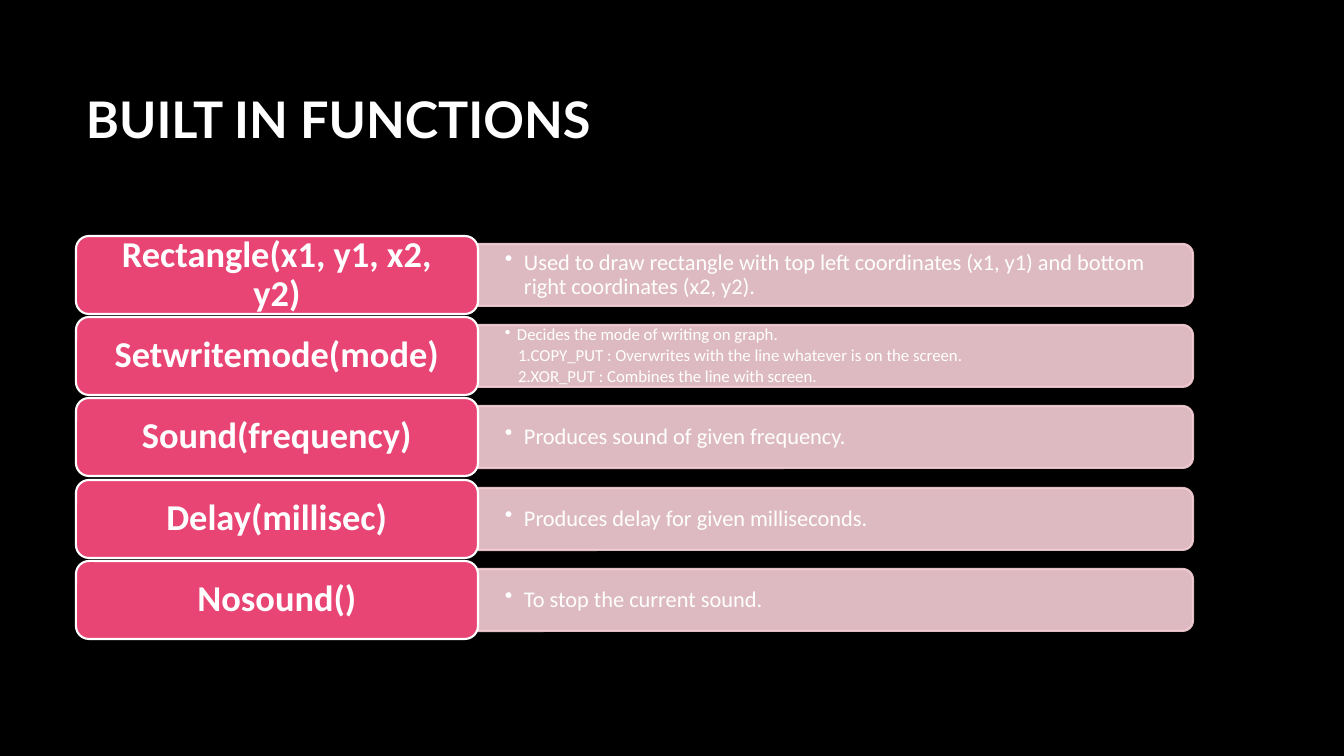
from dataclasses import dataclass

from lxml import etree
from pptx import Presentation
from pptx import util as u
from pptx.dml.color import RGBColor
from pptx.enum import shapes, text
from pptx.oxml.ns import qn

SCALE = 914400 / 100.8


def px(pixels):
    """Turn pixels into EMU."""
    return u.Emu(round(pixels * SCALE))


@dataclass(frozen=True)
class Theme:
    """Hold colours, fonts and type sizes."""

    background: str = "000000"
    ink: str = "FFFFFF"
    label: str = "E84574"
    bar: str = "F6CFD6"
    bar_opacity: int = 90
    line_width: float = 1.5
    title_font: str = "Lato"
    body_font: str = "Calibri"
    title_size: int = 36
    label_size: int = 26
    body_size: int = 16
    small_size: int = 12


class SlideBuilder:
    """Draw themed elements on one slide."""

    def __init__(self, slide, theme):
        """Keep the slide and theme, and paint the background."""
        self.slide, self.theme = slide, theme
        fill = slide.background.fill
        fill.solid()
        fill.fore_color.rgb = RGBColor.from_string(theme.background)

    def frame(self, shape, margin):
        """Prepare a wrapped, vertically centred text frame."""
        frame = shape.text_frame
        frame.word_wrap = True
        frame.vertical_anchor = text.MSO_ANCHOR.MIDDLE
        frame.margin_left = frame.margin_right = px(margin)
        frame.margin_top = frame.margin_bottom = 0
        return frame

    def run(self, paragraph, words, size, font, bold=False):
        """Add one run of text."""
        run = paragraph.add_run()
        run.text = words
        run.font.size, run.font.name, run.font.bold = u.Pt(size), font, bold
        run.font.color.rgb = RGBColor.from_string(self.theme.ink)

    def block(self, preset, box, fill, line, opacity=100):
        """Add a filled and outlined preset shape."""
        shape = self.slide.shapes.add_shape(preset, *map(px, box))
        shape.shadow.inherit = False
        shape.fill.solid()
        shape.fill.fore_color.rgb = RGBColor.from_string(fill)
        shape.line.color.rgb = RGBColor.from_string(line)
        shape.line.width = u.Pt(self.theme.line_width)
        if opacity < 100:
            for colour in shape._element.spPr.iter(qn("a:srgbClr")):
                etree.SubElement(colour, qn("a:alpha"), val=str(opacity * 1000))
        return shape

    def title(self, words, box):
        """Add the slide title."""
        shape = self.slide.shapes.add_textbox(*map(px, box))
        paragraph = self.frame(shape, 10).paragraphs[0]
        self.run(paragraph, words, self.theme.title_size, self.theme.title_font, True)

    def label(self, words, box):
        """Add a rounded label with a function signature."""
        shape = self.block(shapes.MSO_SHAPE.ROUNDED_RECTANGLE, box,
                           self.theme.label, self.theme.ink)
        paragraph = self.frame(shape, 15).paragraphs[0]
        paragraph.alignment = text.PP_ALIGN.CENTER
        paragraph.line_spacing = 0.9
        self.run(paragraph, words, self.theme.label_size, self.theme.body_font, True)

    def bar(self, box):
        """Add a bar rounded at its right end."""
        left, top, width, height = box
        shift = (width - height) / 2
        shape = self.block(shapes.MSO_SHAPE.ROUND_2_SAME_RECTANGLE,
                           (left + shift, top - shift, height, width),
                           self.theme.bar, self.theme.bar, self.theme.bar_opacity)
        shape.rotation = 90

    def description(self, summary, steps, box):
        """Add a bulleted summary with optional numbered steps."""
        size = self.theme.small_size if steps else self.theme.body_size
        hang = 12 if steps else 19
        frame = self.frame(self.slide.shapes.add_textbox(*map(px, box)), 27)
        for index, words in enumerate([summary, *steps]):
            paragraph = frame.add_paragraph() if index else frame.paragraphs[0]
            paragraph.level = min(index, 1)
            paragraph.line_spacing = 0.9
            paragraph.space_after = u.Pt(size * 0.15)
            properties = paragraph._p.get_or_add_pPr()
            properties.set("marL", str(px(25 if index else hang)))
            properties.set("indent", str(px(-hang)))
            if index:
                etree.SubElement(properties, qn("a:buAutoNum"), type="arabicPeriod")
            else:
                etree.SubElement(properties, qn("a:buChar"), char="•")
            self.run(paragraph, words, size, self.theme.body_font)


FUNCTIONS = [
    ("Rectangle(x1, y1, x2, y2)",
     "Used to draw rectangle with top left coordinates (x1, y1) and bottom "
     "right coordinates (x2, y2).", []),
    ("Setwritemode(mode)", "Decides the mode of writing on graph.",
     ["COPY_PUT : Overwrites with the line whatever is on the screen.",
      "XOR_PUT : Combines the line with screen."]),
    ("Sound(frequency)", "Produces sound of given frequency.", []),
    ("Delay(millisec)", "Produces delay for given milliseconds.", []),
    ("Nosound()", "To stop the current sound.", []),
]
LEFT, SPLIT, RIGHT = 76, 478, 1193
FIRST_TOP, LAST_TOP = 236, 561
LABEL_HEIGHT, BAR_HEIGHT = 78, 62

presentation = Presentation()
presentation.slide_width, presentation.slide_height = px(1344), px(756)
slide = presentation.slides.add_slide(presentation.slide_layouts[6])
builder = SlideBuilder(slide, Theme())
builder.title("BUILT IN FUNCTIONS", (LEFT, 68, RIGHT - LEFT, 100))

pitch = (LAST_TOP - FIRST_TOP) / (len(FUNCTIONS) - 1)
for row, (signature, summary, steps) in enumerate(FUNCTIONS):
    top = round(FIRST_TOP + row * pitch)
    bar_box = (SPLIT, top + (LABEL_HEIGHT - BAR_HEIGHT) // 2,
               RIGHT - SPLIT, BAR_HEIGHT)
    builder.bar(bar_box)
    builder.description(summary, steps, bar_box)
    builder.label(signature, (LEFT, top, SPLIT - LEFT, LABEL_HEIGHT))

presentation.save("out.pptx")
